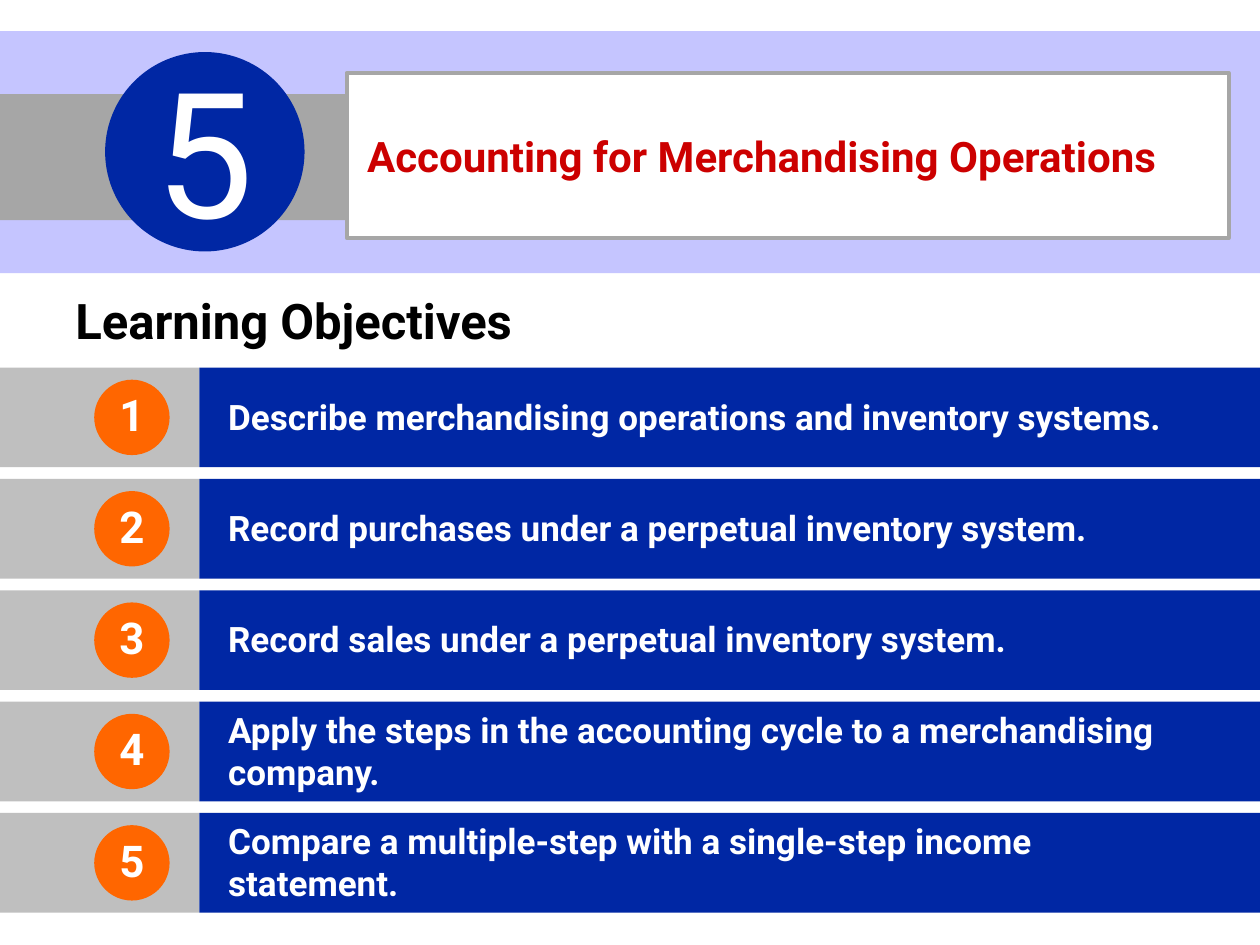
from dataclasses import dataclass

from pptx import Presentation
from pptx.dml.color import RGBColor
from pptx.enum.shapes import MSO_SHAPE
from pptx.enum.text import MSO_ANCHOR, MSO_AUTO_SIZE, PP_ALIGN
from pptx.util import Cm, Pt

RECTANGLE, OVAL = MSO_SHAPE.RECTANGLE, MSO_SHAPE.OVAL
LEFT, CENTER = PP_ALIGN.LEFT, PP_ALIGN.CENTER
TOP, MIDDLE = MSO_ANCHOR.TOP, MSO_ANCHOR.MIDDLE
TITLE_ONLY = 5


@dataclass(frozen=True)
class Theme:
    """Colours, font and type sizes of the slide."""
    font: str = "Roboto"
    white: str = "FFFFFF"
    black: str = "000000"
    blue: str = "0027A4"
    lavender: str = "C5C5FF"
    red: str = "CC0000"
    orange: str = "FF6600"
    dark_grey: str = "A6A6A6"
    light_grey: str = "BFBFBF"
    chapter_number: int = 100
    heading: int = 28
    chapter_name: int = 24
    badge: int = 25
    objective: int = 20


THEME = Theme()
SLIDE_WIDTH, SLIDE_HEIGHT = 25.4, 19.05
OBJECTIVES = [
    "Describe merchandising operations and inventory systems.",
    "Record purchases under a perpetual inventory system.",
    "Record sales under a perpetual inventory system.",
    "Apply the steps in the accounting cycle to a merchandising company.",
    "Compare a multiple-step with a single-step income statement.",
]
CIRCLE_INSETS = (0.25, 0, 0.25, 0.13)


def write(shape, text, *, size, color, bold=True, align=LEFT, anchor=MIDDLE,
          insets=(0.25, 0.13, 0.25, 0.13)):
    """Put formatted text into a shape."""
    frame = shape.text_frame
    frame.text = text
    frame.word_wrap = True
    frame.auto_size = MSO_AUTO_SIZE.NONE
    frame.vertical_anchor = anchor
    (frame.margin_left, frame.margin_top,
     frame.margin_right, frame.margin_bottom) = map(Cm, insets)
    paragraph = frame.paragraphs[0]
    paragraph.alignment = align
    font = paragraph.runs[0].font
    font.name, font.size, font.bold = THEME.font, Pt(size), bold
    font.color.rgb = RGBColor.from_string(color)


def add_block(slide, kind, left, top, width, height, fill, outline=None):
    """Add a flat filled shape, outlined only on request."""
    block = slide.shapes.add_shape(kind, Cm(left), Cm(top), Cm(width), Cm(height))
    block.shadow.inherit = False
    block.fill.solid()
    block.fill.fore_color.rgb = RGBColor.from_string(fill)
    if outline:
        block.line.color.rgb = RGBColor.from_string(outline)
        block.line.width = Pt(2.25)
    else:
        block.line.fill.background()
    return block


def add_chapter_banner(slide, left, top, width, height, number, name):
    """Draw the chapter band with its number circle and name box."""
    name_left = 6.99
    add_block(slide, RECTANGLE, left, top, width, height, THEME.lavender)
    add_block(slide, RECTANGLE, left, top + 1.27, name_left, 2.54, THEME.dark_grey)
    name_box = add_block(slide, RECTANGLE, left + name_left, top + 0.84,
                         width - name_left - 0.63, 3.33, THEME.white, THEME.dark_grey)
    write(name_box, name, size=THEME.chapter_name, color=THEME.red,
          insets=(0.41, 0.13, 0.25, 0.13))
    circle = add_block(slide, OVAL, left + 2.12, top + 0.42, 4.02, 4.02, THEME.blue)
    write(circle, number, size=THEME.chapter_number, color=THEME.white, bold=False,
          align=CENTER, insets=CIRCLE_INSETS)


def place_heading(slide, left, top, width, height, text):
    """Move and format the title placeholder."""
    heading = slide.shapes.title
    heading.left, heading.top = Cm(left), Cm(top)
    heading.width, heading.height = Cm(width), Cm(height)
    write(heading, text, size=THEME.heading, color=THEME.black, anchor=TOP)


def add_objective(slide, left, top, width, height, number, text):
    """Draw one objective bar with its numbered badge."""
    tab_width, badge_size = 4.02, 1.52
    add_block(slide, RECTANGLE, left, top, tab_width, height, THEME.light_grey)
    bar = add_block(slide, RECTANGLE, left + tab_width, top, width - tab_width, height,
                    THEME.blue)
    write(bar, text, size=THEME.objective, color=THEME.white,
          insets=(0.58, 0.08, 1.02, 0.13))
    badge = add_block(slide, OVAL, left + 1.9, top + (height - badge_size) / 2,
                      badge_size, badge_size, THEME.orange)
    write(badge, str(number), size=THEME.badge, color=THEME.white, align=CENTER,
          insets=CIRCLE_INSETS)


def add_objectives(slide, left, top, width, height, objectives):
    """Stack the objective bars evenly in the given box."""
    bar_height = 2.01
    pitch = (height - bar_height) / (len(objectives) - 1)
    for index, text in enumerate(objectives):
        add_objective(slide, left, top + index * pitch, width, bar_height, index + 1, text)


def main():
    """Build and save the slide."""
    deck = Presentation()
    deck.slide_width, deck.slide_height = Cm(SLIDE_WIDTH), Cm(SLIDE_HEIGHT)
    slide = deck.slides.add_slide(deck.slide_layouts[TITLE_ONLY])
    add_chapter_banner(slide, 0, 0.63, SLIDE_WIDTH, 4.88, "5",
                       "Accounting for Merchandising Operations")
    place_heading(slide, 1.27, 5.72, 12.27, 1.45, "Learning Objectives")
    add_objectives(slide, 0, 7.41, SLIDE_WIDTH, 10.99, OBJECTIVES)
    deck.save("out.pptx")


if __name__ == "__main__":
    main()
